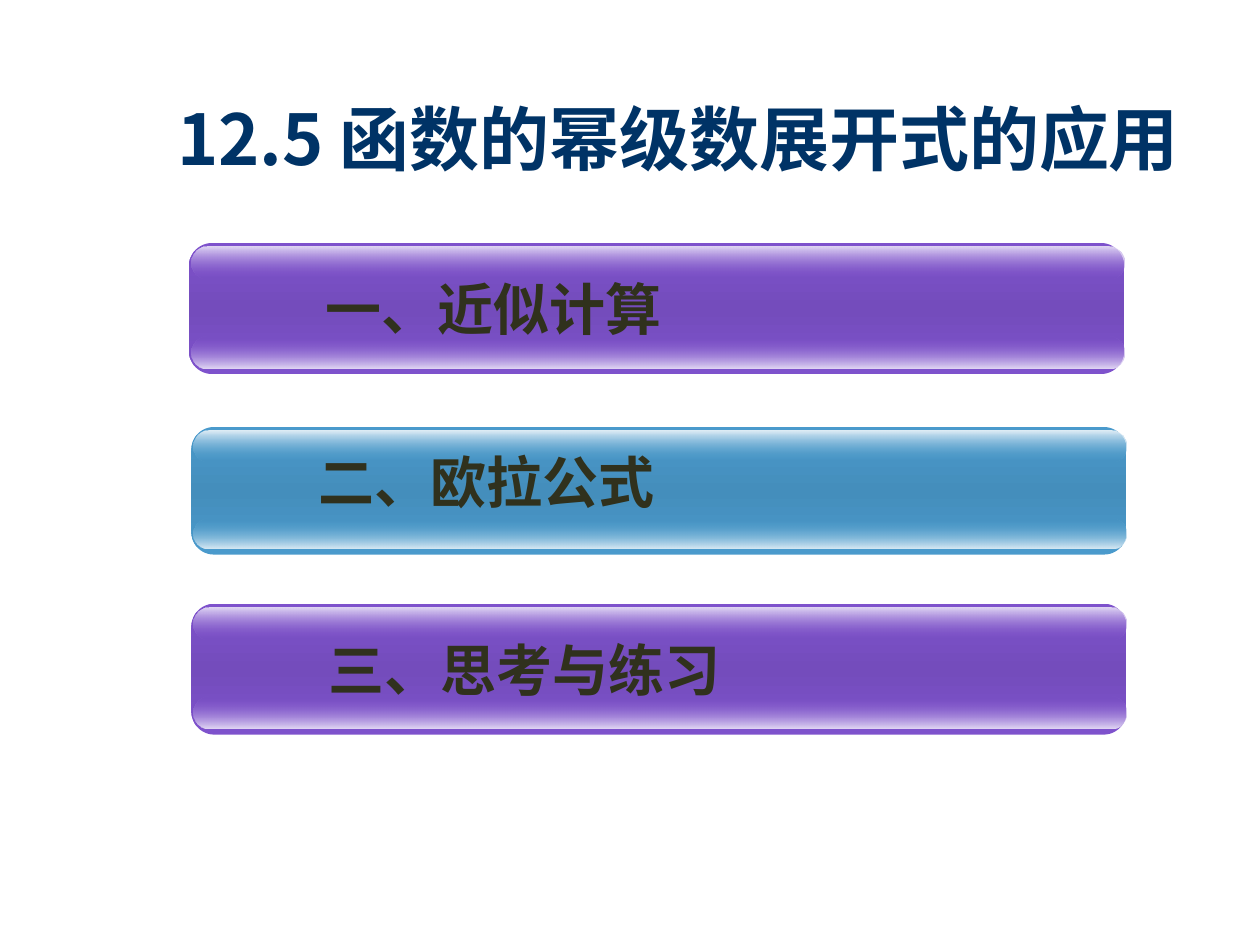
from dataclasses import dataclass

from lxml import etree
from pptx import Presentation
from pptx import util as u
from pptx.dml.color import RGBColor
from pptx.enum import shapes, text
from pptx.oxml import ns


@dataclass(frozen=True)
class Palette:
    edge: str
    middle: str
    top_glow: str
    bottom_glow: str


@dataclass(frozen=True)
class Theme:
    font: str = "Noto Sans CJK SC"
    title_size: int = 40
    item_size: int = 32
    title_color: str = "003366"
    item_color: str = "30311D"
    purple: Palette = Palette("7E52CC", "744CBC", "E2D8F4", "E5DCF5")
    blue: Palette = Palette("4A9ACC", "448EBC", "E3EFF7", "DCECF5")


class AgendaSlide:
    """Holds the theme and the slide being filled; lengths are in centimetres."""

    BAR_WIDTH = 18.85
    GLOSS_WIDTH = 18.8
    GLOSS_INSET = 0.05
    TEXT_INDENT = 2.62

    def __init__(self, slide, theme):
        self.slide = slide
        self.theme = theme

    def style_text(self, frame, wording, size, color):
        frame.text = wording
        paragraph = frame.paragraphs[0]
        font = paragraph.font
        font.name = self.theme.font
        font.size = u.Pt(size)
        font.bold = True
        font.color.rgb = RGBColor.from_string(color)
        properties = paragraph._p.find(".//" + ns.qn("a:defRPr"))
        etree.SubElement(properties, ns.qn("a:ea"), typeface=self.theme.font)
        return paragraph

    def title(self, wording, left, top, width, height):
        shape = self.slide.shapes.title
        shape.left, shape.top = u.Cm(left), u.Cm(top)
        shape.width, shape.height = u.Cm(width), u.Cm(height)
        frame = shape.text_frame
        frame.vertical_anchor = text.MSO_ANCHOR.MIDDLE
        frame.margin_right = u.Cm(0.57)
        paragraph = self.style_text(
            frame, wording, self.theme.title_size, self.theme.title_color)
        paragraph.alignment = text.PP_ALIGN.CENTER

    def gradient_box(self, left, top, width, height, rounding, stops):
        """Add a rounded box; stops are (position %, colour, opacity %), top to bottom."""
        shape = self.slide.shapes.add_shape(
            shapes.MSO_SHAPE.ROUNDED_RECTANGLE,
            u.Cm(left), u.Cm(top), u.Cm(width), u.Cm(height))
        shape.adjustments[0] = rounding
        shape.shadow.inherit = False
        shape.line.fill.background()
        shape.fill.gradient()
        gradient = shape._element.spPr.find(ns.qn("a:gradFill"))
        for child in list(gradient):
            gradient.remove(child)
        stop_list = etree.SubElement(gradient, ns.qn("a:gsLst"))
        for position, color, opacity in stops:
            stop = etree.SubElement(stop_list, ns.qn("a:gs"), pos=str(position * 1000))
            fill = etree.SubElement(stop, ns.qn("a:srgbClr"), val=color)
            if opacity < 100:
                etree.SubElement(fill, ns.qn("a:alpha"), val=str(opacity * 1000))
        etree.SubElement(gradient, ns.qn("a:lin"), ang="5400000", scaled="0")
        return shape

    def bar(self, left, top, height, gloss_height, palette):
        """Add a bar with a light gloss along its top and bottom edges."""
        edge = palette.edge
        bar = self.gradient_box(
            left, top, self.BAR_WIDTH, height, 0.175,
            [(0, edge, 100), (50, palette.middle, 100), (100, edge, 100)])
        bottom = top + height - gloss_height - 0.12
        for gloss_top, stops in (
            (bottom, [(0, edge, 0), (100, palette.bottom_glow, 100)]),
            (top + 0.08, [(0, palette.top_glow, 100), (100, edge, 0)]),
        ):
            self.gradient_box(left + self.GLOSS_INSET, gloss_top,
                              self.GLOSS_WIDTH, gloss_height, 0.5, stops)
        return bar

    def label(self, frame, wording):
        frame.word_wrap = True
        frame.margin_left = u.Cm(self.TEXT_INDENT)
        paragraph = self.style_text(
            frame, wording, self.theme.item_size, self.theme.item_color)
        paragraph.alignment = text.PP_ALIGN.LEFT

    def bar_label(self, bar, wording):
        bar.text_frame.vertical_anchor = text.MSO_ANCHOR.MIDDLE
        self.label(bar.text_frame, wording)

    def floating_label(self, wording, left, top, width, height):
        box = self.slide.shapes.add_textbox(
            u.Cm(left), u.Cm(top), u.Cm(width), u.Cm(height))
        self.label(box.text_frame, wording)


def main():
    theme = Theme()
    presentation = Presentation()
    presentation.slide_width, presentation.slide_height = u.Cm(25.4), u.Cm(19.05)
    title_only = presentation.slide_layouts[5]
    agenda = AgendaSlide(presentation.slides.add_slide(title_only), theme)

    agenda.title("12.5 函数的幂级数展开式的应用", 2.59, 1.37, 22.48, 2.82)

    approximation = agenda.bar(3.81, 4.9, 2.64, 0.64, theme.purple)
    agenda.bar_label(approximation, "一、近似计算")

    agenda.bar(3.86, 8.61, 2.57, 0.61, theme.blue)
    agenda.floating_label("二、欧拉公式", 3.8, 8.89, 18.95, 1.63)

    practice = agenda.bar(3.86, 12.17, 2.64, 0.64, theme.purple)
    agenda.bar_label(practice, "三、思考与练习")

    presentation.save("out.pptx")


if __name__ == "__main__":
    main()
